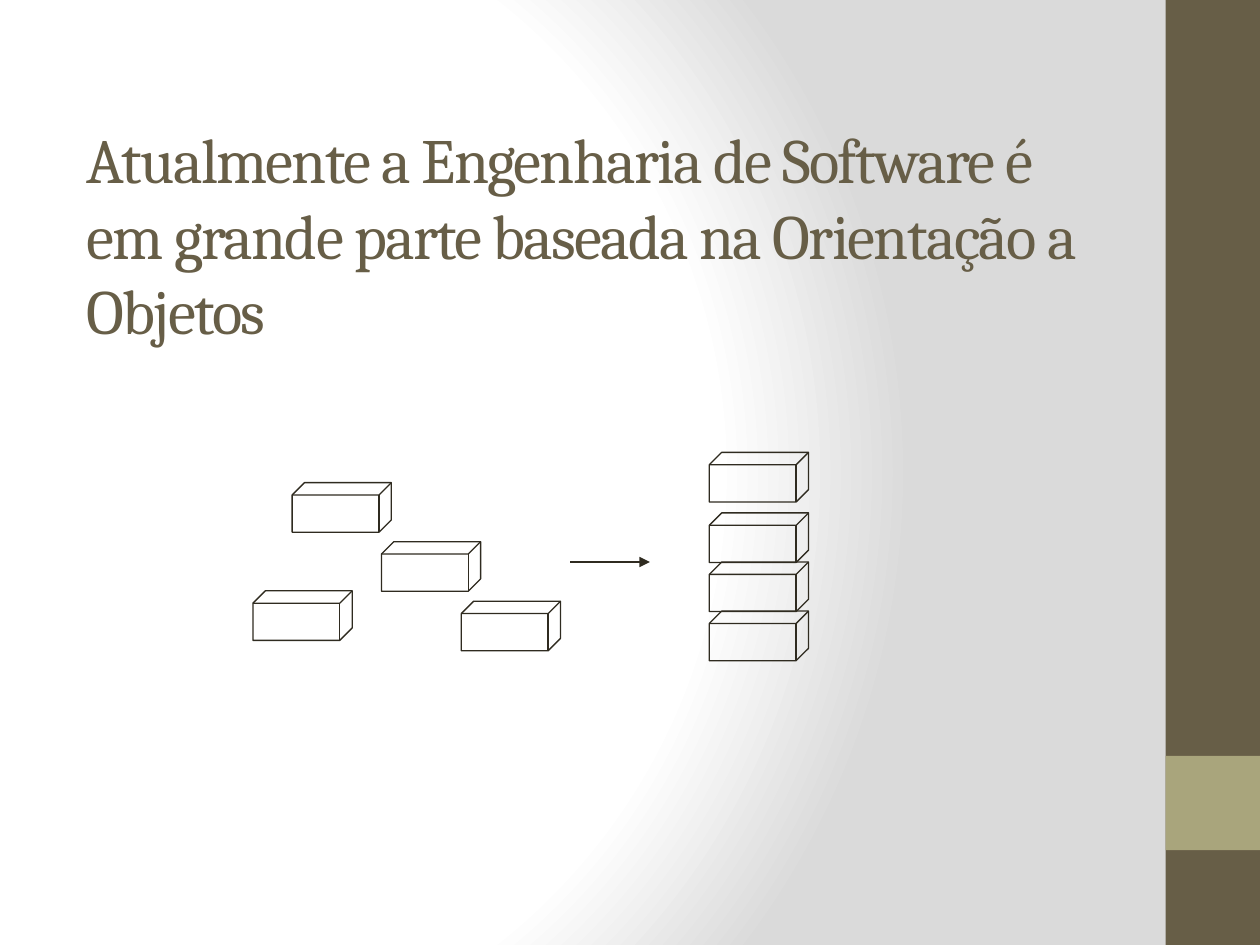
from lxml import etree
from pptx import Presentation
from pptx.dml.color import RGBColor
from pptx.enum.shapes import MSO_CONNECTOR, MSO_SHAPE
from pptx.enum.text import MSO_ANCHOR
from pptx.oxml import parse_xml
from pptx.oxml.ns import nsdecls, qn
from pptx.util import Cm, Pt

CUBE, RECT = MSO_SHAPE.CUBE, MSO_SHAPE.RECTANGLE
STRAIGHT = MSO_CONNECTOR.STRAIGHT
TOP = MSO_ANCHOR.TOP

BROWN, OLIVE, INK = "675E47", "A9A57C", "2F2B20"
PAGE_W, PAGE_H = 25.4, 19.05
SIDEBAR_W = 1.9
CUBE_W, CUBE_H = 2, 1
TITLE = ("Atualmente a Engenharia de Software é em grande parte "
         "baseada na Orientação a Objetos")

# Cube offsets in cm from the corner of the diagram, back to front
SCATTERED = [(0, 2.79), (2.59, 1.8), (4.2, 3), (0.79, 0.61)]
STACKED = [(9.2, y) for y in (3.2, 2.21, 1.22, 0)]


def color(value):
    return RGBColor.from_string(value)


def paint_background(page):
    """Radial gradient, white on the left and grey towards the right."""
    page.background.fill.gradient()
    old = page.element.find(".//" + qn("a:gradFill"))
    stops = "".join(
        f'<a:gs pos="{pos * 1000}"><a:srgbClr val="{value}"/></a:gs>'
        for pos, value in ((0, "FFFFFF"), (75, "FFFFFF"), (100, "DADADA")))
    old.getparent().replace(old, parse_xml(
        f'<a:gradFill {nsdecls("a")} rotWithShape="1"><a:gsLst>{stops}</a:gsLst>'
        '<a:path path="circle">'
        '<a:fillToRect l="20000" t="50000" r="100000" b="50000"/>'
        '</a:path></a:gradFill>'))


def add_sidebar(page, left, top, width, height):
    """Dark band with a square accent."""
    accent_top = top + height * 0.8
    for y, h, fill in ((top, height, BROWN), (accent_top, width, OLIVE)):
        band = page.shapes.add_shape(RECT, Cm(left), Cm(y), Cm(width), Cm(h))
        band.shadow.inherit = False
        band.fill.solid()
        band.fill.fore_color.rgb = color(fill)
        band.line.fill.background()


def add_title(page, left, top, width, height):
    box = page.shapes.add_textbox(Cm(left), Cm(top), Cm(width), Cm(height))
    frame = box.text_frame
    frame.word_wrap = True
    frame.vertical_anchor = TOP
    frame.text = TITLE
    span = frame.paragraphs[0].runs[0]
    span.font.name = "Cambria"
    span.font.size = Pt(36)
    span.font.color.rgb = color(BROWN)
    span.font._element.set("spc", "-100")


def add_cube(page, left, top):
    cube = page.shapes.add_shape(CUBE, Cm(left), Cm(top), Cm(CUBE_W), Cm(CUBE_H))
    cube.shadow.inherit = False
    cube.adjustments[0] = 0.25
    cube.fill.background()
    cube.line.color.rgb = color(INK)
    cube.line.width = Pt(0.75)


def add_arrow(page, left, top, length):
    arrow = page.shapes.add_connector(
        STRAIGHT, Cm(left), Cm(top), Cm(left + length), Cm(top))
    arrow.line.color.rgb = color(INK)
    arrow.line.width = Pt(0.75)
    etree.SubElement(arrow.line._get_or_add_ln(), qn("a:tailEnd"), type="triangle")
    etree.SubElement(arrow.element.spPr, qn("a:effectLst"))


def add_diagram(page, left, top):
    """Loose blocks, an arrow, and the same blocks stacked."""
    for x, y in SCATTERED:
        add_cube(page, left + x, top + y)
    add_arrow(page, left + 6.4, top + 2.21, 1.6)
    for x, y in STACKED:
        add_cube(page, left + x, top + y)


def main():
    deck = Presentation()
    deck.slide_width, deck.slide_height = Cm(PAGE_W), Cm(PAGE_H)
    page = deck.slides.add_slide(deck.slide_layouts[6])
    paint_background(page)
    add_sidebar(page, PAGE_W - SIDEBAR_W, 0, SIDEBAR_W, PAGE_H)
    add_title(page, 1.5, 2.31, 20.95, 7.82)
    add_diagram(page, 5.1, 9.12)
    deck.save("out.pptx")


if __name__ == "__main__":
    main()
